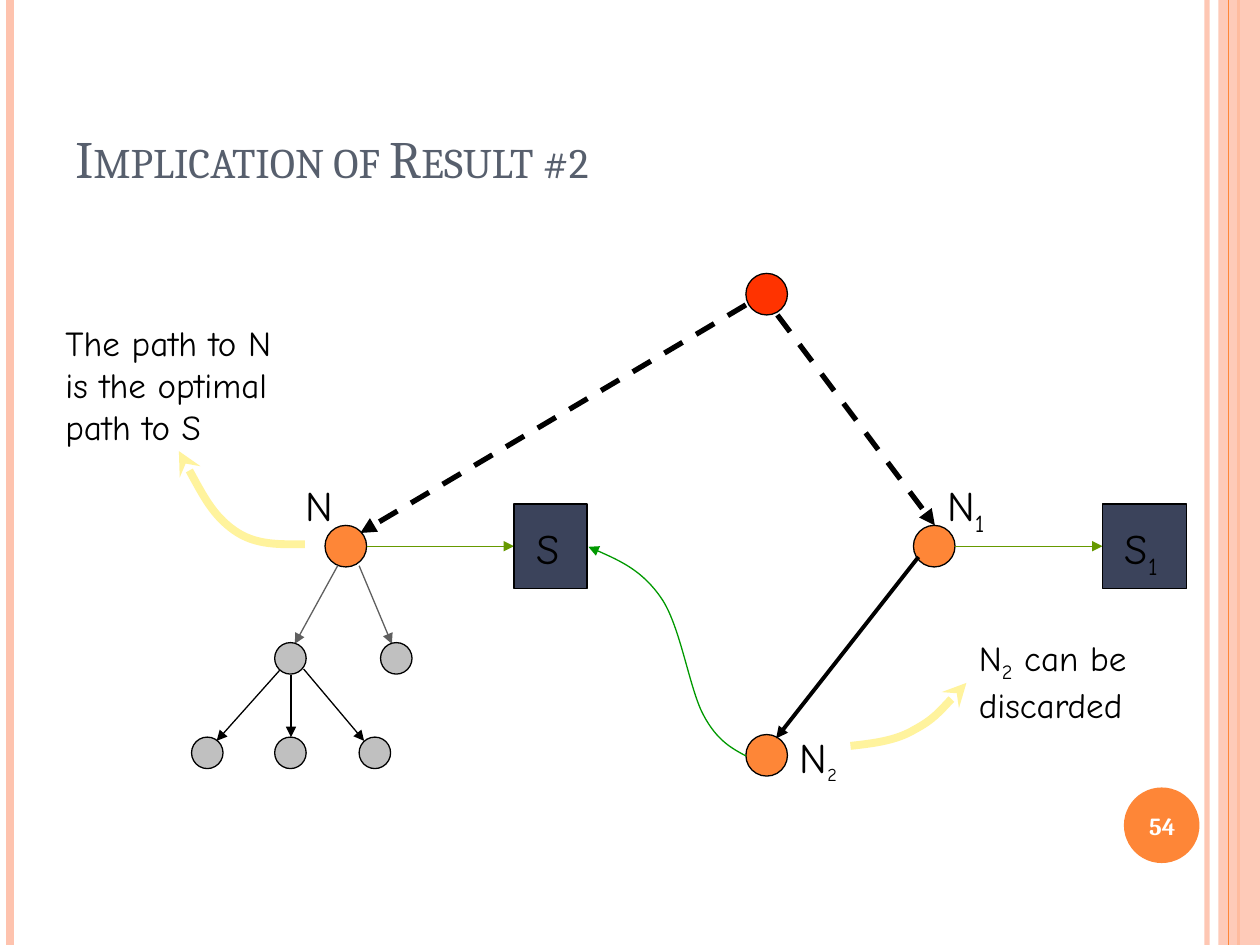
from lxml import etree
from pptx import Presentation
from pptx.dml.color import RGBColor
from pptx.enum import dml, shapes, text
from pptx.oxml import ns
from pptx.util import Inches, Pt

COLORS = {
    "peach": "FEC3AE", "orange": "FE8637", "red": "FF3300", "slate": "575F6D",
    "navy": "3B435B", "olive": "669900", "green": "009900", "yellow": "FFF39D",
    "silver": "C0C0C0", "gray": "5F5F5F", "black": "000000", "white": "FFFFFF",
}
HAND = "Comic Neue"
SERIF = "Cambria"
NODE = 0.33
LEAF = 0.25


def rgb(name):
    return RGBColor.from_string(COLORS[name])


def set_alpha(holder, percent):
    color = holder.find(".//" + ns.qn("a:srgbClr"))
    etree.SubElement(color, ns.qn("a:alpha"), val=str(percent * 1000))


def style_line(part, color, width, head=None, dashed=False):
    line = part.line
    line.color.rgb = rgb(color)
    line.width = Pt(width)
    if dashed:
        line.dash_style = dml.MSO_LINE.DASH
    if head:
        etree.SubElement(line._get_or_add_ln(), ns.qn("a:tailEnd"), type=head)


def add_line(slide, start, end, color="black", width=0.75, head="triangle", dashed=False):
    points = [Inches(value) for value in (*start, *end)]
    line = slide.shapes.add_connector(shapes.MSO_CONNECTOR.STRAIGHT, *points)
    style_line(line, color, width, head, dashed)
    etree.SubElement(line._element.spPr, ns.qn("a:effectLst"))
    return line


def add_block(slide, kind, box, fill, outlined=True):
    block = slide.shapes.add_shape(kind, *[Inches(value) for value in box])
    block.shadow.inherit = False
    block.fill.solid()
    block.fill.fore_color.rgb = rgb(fill)
    if outlined:
        style_line(block, "black", 0.75)
    else:
        block.line.fill.background()
    return block


def add_node(slide, left, top, fill="orange", size=NODE):
    add_block(slide, shapes.MSO_SHAPE.OVAL, (left, top, size, size), fill)


def add_curve(slide, points, color, width, head):
    start, *bends = [(Inches(x), Inches(y)) for x, y in points]
    builder = slide.shapes.build_freeform(*start)
    builder.add_line_segments(bends, close=False)
    curve = builder.convert_to_shape()
    curve.shadow.inherit = False
    curve.fill.background()
    style_line(curve, color, width, head)
    path = curve._element.find(".//" + ns.qn("a:path"))
    segments = path.findall(ns.qn("a:lnTo"))
    for first in range(0, len(segments), 3):
        bezier = etree.SubElement(path, ns.qn("a:cubicBezTo"))
        for segment in segments[first:first + 3]:
            bezier.append(segment[0])
            path.remove(segment)


def add_text(slide, box, paragraphs, size, color="black", font=HAND, bold=False,
             wrap=False, small_caps=False, sub_size=None, frame_format=None, align=None):
    label = slide.shapes.add_textbox(*[Inches(value) for value in box])
    frame = label.text_frame
    settings = {"word_wrap": wrap, "auto_size": text.MSO_AUTO_SIZE.NONE if wrap
                else text.MSO_AUTO_SIZE.SHAPE_TO_FIT_TEXT, **(frame_format or {})}
    for name, value in settings.items():
        setattr(frame, name, value)
    for index, pieces in enumerate(paragraphs):
        paragraph = frame.add_paragraph() if index else frame.paragraphs[0]
        paragraph.alignment = align
        for piece in pieces:
            if piece == "\n":
                paragraph.add_line_break()
                continue
            lowered = piece.startswith("_")
            run = paragraph.add_run()
            run.text = piece[1:] if lowered else piece
            run_size = sub_size if lowered and sub_size else size
            for name, value in {"name": font, "size": Pt(run_size), "bold": bold}.items():
                setattr(run.font, name, value)
            run.font.color.rgb = rgb(color)
            properties = run._r.get_or_add_rPr()
            if lowered:
                properties.set("baseline", "-25000")
            if small_caps:
                properties.set("cap", "small")


def add_frame(slide, width, height):
    def stripe(x, color, weight):
        return add_line(slide, (x, 0), (x, height), color, weight, None)

    set_alpha(stripe(width - 0.42, "peach", 3)._element, 93)
    stripe(0.08, "peach", 4.5)
    stripe(width - 0.17, "orange", 1.5)
    band = add_block(slide, shapes.MSO_SHAPE.RECTANGLE,
                     (width - 0.33, 0, 0.33, height), "peach", False)
    set_alpha(band._element, 87)
    stripe(width - 0.25, "orange", 0.75)


def add_title(slide, box):
    add_text(slide, box, [["Implication of Result #2"]], 30, "slate", SERIF, wrap=True,
             small_caps=True, frame_format={"vertical_anchor": text.MSO_ANCHOR.BOTTOM})


def add_page_number(slide, left, top):
    add_block(slide, shapes.MSO_SHAPE.OVAL, (left + 0.03, top, 0.6, 0.6), "orange", False)
    add_text(slide, (left, top + 0.02, 0.67, 0.57), [["54"]], 14, "white", SERIF, True, True,
             frame_format={"vertical_anchor": text.MSO_ANCHOR.MIDDLE},
             align=text.PP_ALIGN.CENTER)


def add_state(slide, left, top, goal_width, index=()):
    extra = 0.1 if index else 0
    add_text(slide, (left - 0.25 + extra * 4.2, top - 0.41, 0.47 + extra, 0.5),
             [["N", *index]], 24)
    add_node(slide, left, top)
    middle = top + NODE / 2
    add_line(slide, (left + NODE, middle), (left + 1.5, middle), "olive")
    add_block(slide, shapes.MSO_SHAPE.RECTANGLE,
              (left + 1.5, top - 0.17, goal_width, 0.67), "navy")
    add_text(slide, (left + 1.58, top - 0.07, 0.43 + extra, 0.5), [["S", *index]], 24)


def add_root(slide, left, top):
    add_node(slide, left, top, "red")
    for start, end in [((0, 0.25), (-3.06, 2.06)), ((0.25, 0.33), (1.5, 2))]:
        add_line(slide, (left + start[0], top + start[1]), (left + end[0], top + end[1]),
                 width=3, dashed=True)


def add_subtree(slide, left, top):
    for start, end in [(1.16, 0.82), (1.33, 1.59)]:
        add_line(slide, (left + start, top), (left + end, top + 0.62), "gray")
    for x, y in [(0.66, 0.61), (1.5, 0.61), (0, 1.36), (0.66, 1.36), (1.33, 1.36)]:
        add_node(slide, left + x, top + y, "silver", LEAF)
    for start, end in [((0.7, 0.83), (0.2, 1.39)), ((0.79, 0.87), (0.79, 1.36)),
                       ((0.89, 0.82), (1.37, 1.39))]:
        add_line(slide, (left + start[0], top + start[1]), (left + end[0], top + end[1]))


def add_second_path(slide, left, top):
    add_node(slide, left + 1.25, top + 1.49)
    add_line(slide, (left + 2.62, top + 0.08), (left + 1.49, top + 1.52), width=2.25)
    bends = [(1.25, 1.66), (1.14, 1.6), (1.02, 1.54), (0.91, 1.33), (0.8, 1.12),
             (0.73, 0.63), (0.58, 0.41), (0.43, 0.19), (0.21, 0.09), (0, 0)]
    add_curve(slide, [(left + x, top + y) for x, y in bends], "green", 0.75, "triangle")
    add_text(slide, (left + 1.58, top + 1.42, 0.57, 0.5), [["N", "_2"]], 24, sub_size=18)


def add_note(slide, box, paragraphs, bends):
    add_text(slide, box, paragraphs, 20)
    add_curve(slide, [(box[0] + x, box[1] + y) for x, y in bends], "yellow", 4.5, "stealth")


def main():
    deck = Presentation()
    deck.slide_width, deck.slide_height = Inches(10), Inches(7.5)
    slide = deck.slides.add_slide(deck.slide_layouts[6])
    add_frame(slide, 10, 7.5)
    add_page_number(slide, 8.89, 6.25)
    add_title(slide, (0.5, 0.3, 8.17, 1.25))
    add_root(slide, 5.92, 2.17)
    add_state(slide, 2.58, 4.17, 0.58)
    add_state(slide, 7.25, 4.17, 0.67, ("_1",))
    add_subtree(slide, 1.52, 4.49)
    add_note(slide, (0.42, 2.5, 2.12, 1.1),
             [["The path to N", "\n", "is the optimal"], ["path to S"]],
             [(2, 1.82), (1.8, 1.82), (1.61, 1.83), (1.44, 1.71),
              (1.27, 1.59), (1.14, 1.34), (1, 1.08)])
    add_second_path(slide, 4.67, 4.34)
    add_note(slide, (7.67, 5, 1.53, 0.77), [["N", "_2", " can be", "\n", "discarded"]],
             [(-0.92, 0.92), (-0.74, 0.9), (-0.56, 0.88), (-0.41, 0.79),
              (-0.26, 0.71), (-0.13, 0.56), (0, 0.42)])
    deck.save("out.pptx")


if __name__ == "__main__":
    main()
